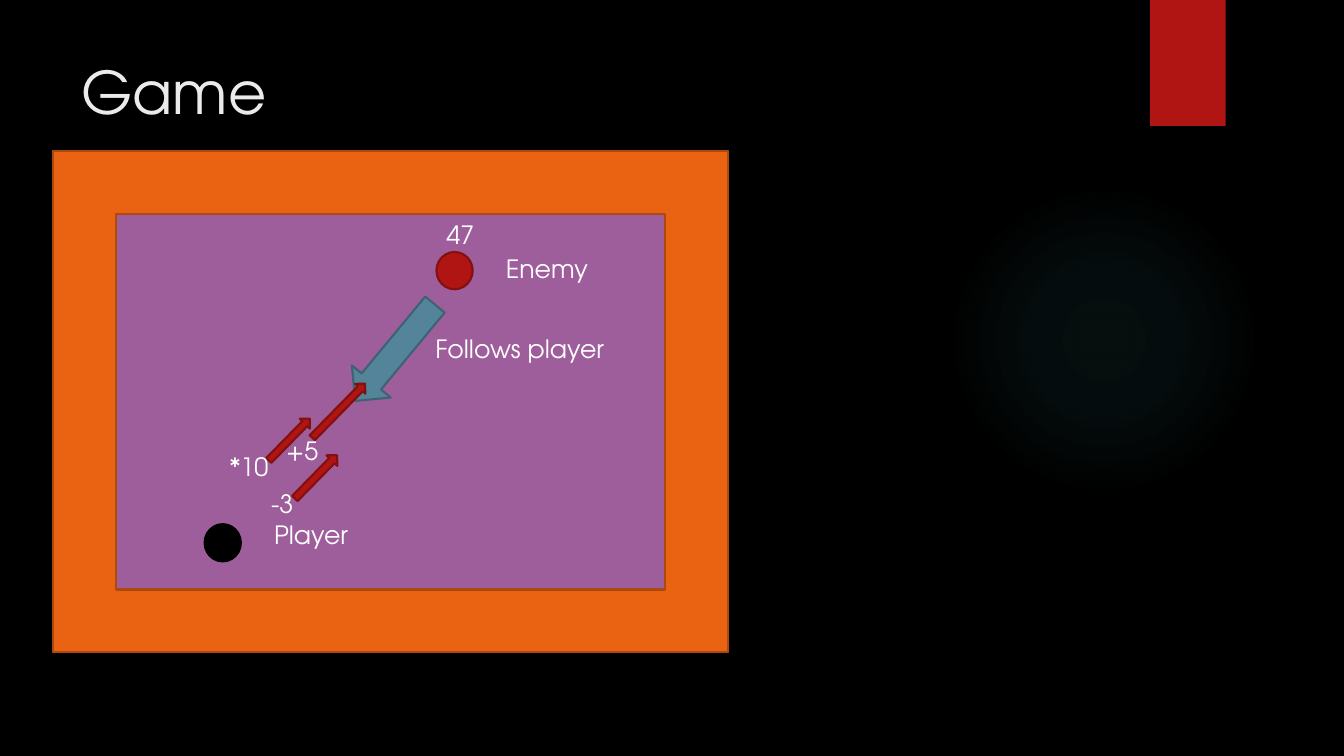
from dataclasses import dataclass

from lxml.etree import SubElement
from pptx import Presentation
from pptx.dml.color import RGBColor
from pptx.enum.shapes import MSO_SHAPE as Preset
from pptx.enum.text import MSO_ANCHOR as Anchor
from pptx.oxml import parse_xml
from pptx.oxml.ns import nsdecls, qn
from pptx.util import Inches, Pt

CELL = 0.1  # grid step in inches
COLUMNS, ROWS = 133.33, 75


@dataclass(frozen=True)
class Theme:
    font: str = "TeX Gyre Adventor"
    title_size: int = 42
    label_size: int = 18
    line_width: float = 1.5
    back: str = "000000"
    title: str = "EBEBEB"
    label: str = "FFFFFF"
    glow: str = "50B9C1"
    red: str = "B01513"
    red_line: str = "82100E"
    floor: str = "9E5E9B"
    floor_line: str = "754673"
    wall: str = "EA6312"
    wall_line: str = "AD490D"
    chase: str = "54849A"
    chase_line: str = "3E6272"


@dataclass(frozen=True)
class Box:
    """A region in grid columns and rows."""
    left: float
    top: float
    width: float
    height: float

    def inner(self, left, top, width, height):
        return Box(self.left + left, self.top + top, width, height)

    def lengths(self):
        return [Inches(cells * CELL)
                for cells in (self.left, self.top, self.width, self.height)]


THEME = Theme()


def color(value):
    return RGBColor.from_string(value)


def add_preset(page, preset, box, fill, line=None, turn=0):
    shape = page.shapes.add_shape(preset, *box.lengths())
    shape.shadow.inherit = False
    shape.rotation = turn
    shape.fill.solid()
    shape.fill.fore_color.rgb = color(fill)
    if line:
        shape.line.color.rgb = color(line)
        shape.line.width = Pt(THEME.line_width)
    else:
        shape.line.fill.background()
    return shape


def add_text(page, box, text, size, ink):
    frame = page.shapes.add_textbox(*box.lengths()).text_frame
    frame.word_wrap = True
    frame.vertical_anchor = Anchor.TOP
    para = frame.paragraphs[0]
    span = para.add_run()
    span.text = text
    span.font.name = THEME.font
    span.font.size = Pt(size)
    span.font.color.rgb = color(ink)


def add_glow(page, box):
    shape = add_preset(page, Preset.OVAL, box, THEME.glow)
    stops = "".join(
        f'<a:gs pos="{place * 1000}"><a:srgbClr val="{THEME.glow}">'
        f'<a:alpha val="{alpha * 1000}"/></a:srgbClr></a:gs>'
        for place, alpha in ((0, 7), (36, 6), (69, 0)))
    gradient = parse_xml(
        f'<a:gradFill {nsdecls("a")}><a:gsLst>{stops}</a:gsLst>'
        '<a:path path="circle"><a:fillToRect l="50000" t="50000" '
        'r="50000" b="50000"/></a:path></a:gradFill>')
    props = shape.element.spPr
    props.replace(props.find(qn("a:solidFill")), gradient)


def add_ribbon(page, box):
    shape = add_preset(page, Preset.RECTANGLE, box, THEME.red)
    effects = shape.element.spPr.find(qn("a:effectLst"))
    shadow = SubElement(effects, qn("a:outerShdw"), blurRad=str(Pt(3)),
                        dist=str(Pt(2)), dir="5400000", rotWithShape="0")
    ink = SubElement(shadow, qn("a:srgbClr"), val=THEME.back)
    SubElement(ink, qn("a:alpha"), val="45000")


def draw_backdrop(page, box):
    page.background.fill.solid()
    page.background.fill.fore_color.rgb = color(THEME.back)
    add_glow(page, box.inner(94.1, 18.3, 30.8, 30.8))
    add_ribbon(page, box.inner(114.1, 0, 7.5, 12.5))


def draw_arena(page, box):
    # Floor, player and surrounding wall
    ball = 3.6, 3.7
    add_preset(page, Preset.RECTANGLE, box, THEME.floor, THEME.floor_line)
    add_preset(page, Preset.OVAL, box.inner(15, 37, *ball), THEME.back, THEME.back)
    add_preset(page, Preset.FRAME, box, THEME.wall, THEME.wall_line)

    # Enemy and its way towards the player
    add_preset(page, Preset.DOWN_ARROW, box.inner(31.4, 13.8, 5, 12.4),
               THEME.chase, THEME.chase_line, 39.6)
    add_preset(page, Preset.OVAL, box.inner(38, 10, *ball),
               THEME.red, THEME.red_line)

    # Shots fired by the player
    for shot in ((22.7, 25.7, 1.4, 5.8), (27.6, 22, 1.4, 7.5),
                 (25.3, 29.3, 1.5, 6)):
        add_preset(page, Preset.DOWN_ARROW, box.inner(*shot),
                   THEME.red, THEME.red_line, 224.4)

    # Labels
    for text, left, top in (
            ("Player", 20.9, 36), ("Enemy", 43.9, 9.6),
            ("Follows player", 36.9, 17.6), ("*10", 16.5, 29.3),
            ("+5", 22.1, 27.7), ("-3", 20.6, 33), ("47", 38, 6.3)):
        width = 20.6 if " " in text else 14.8
        add_text(page, box.inner(left, top, width, 4), text,
                 THEME.label_size, THEME.label)


def draw_game_slide(page, box):
    draw_backdrop(page, box)
    add_text(page, box.inner(7.1, 5, 102.9, 15.3), "Game",
             THEME.title_size, THEME.title)
    draw_arena(page, box.inner(5.3, 15, 66.9, 49.7))


deck = Presentation()
deck.slide_width = Inches(COLUMNS * CELL)
deck.slide_height = Inches(ROWS * CELL)
draw_game_slide(deck.slides.add_slide(deck.slide_layouts[6]),
                Box(0, 0, COLUMNS, ROWS))
deck.save("out.pptx")
